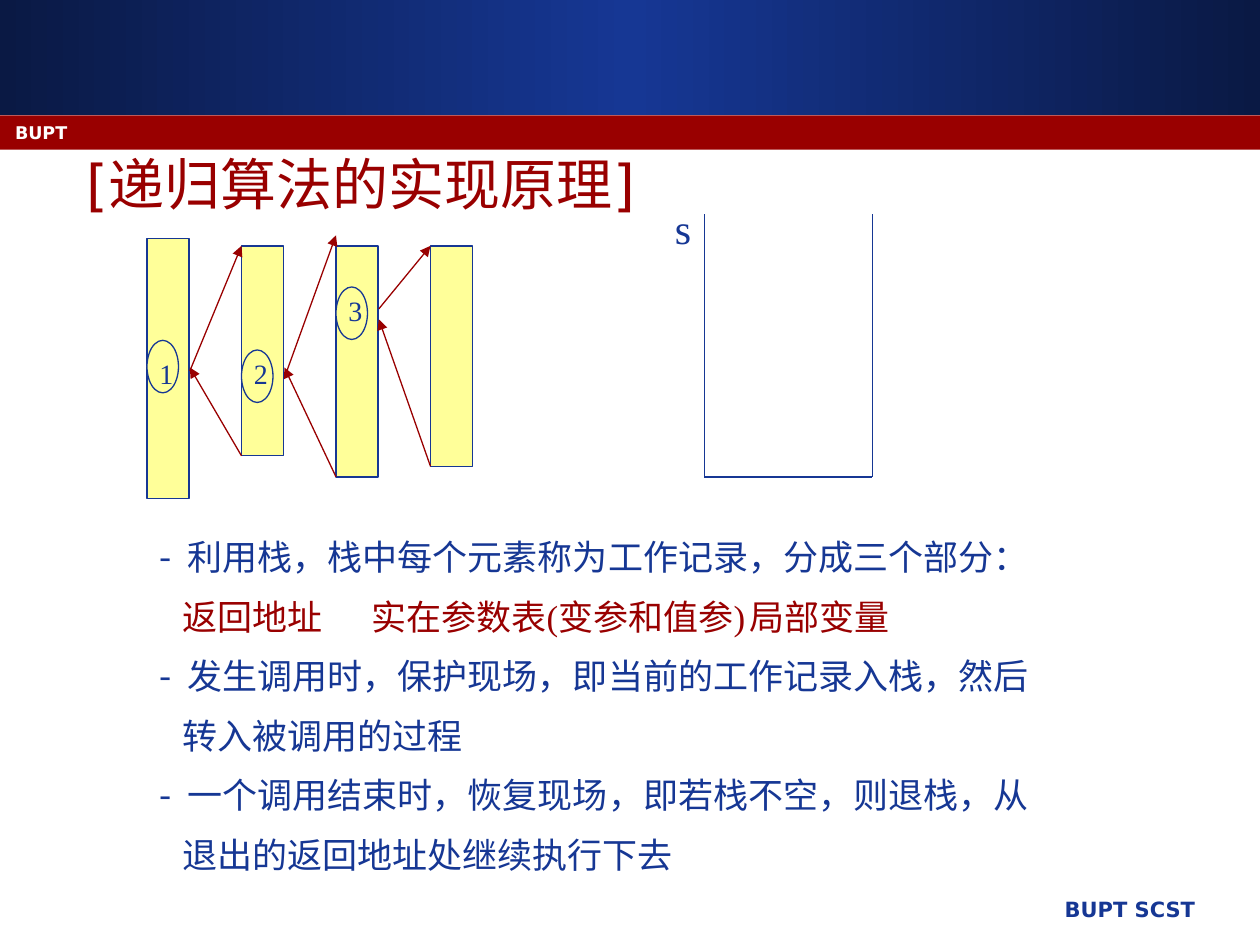
from dataclasses import dataclass
from typing import Optional

from lxml import etree
from pptx import Presentation
from pptx import util as u
from pptx.dml.color import RGBColor
from pptx.enum import shapes, text
from pptx.oxml.ns import qn


@dataclass(frozen=True)
class Theme:
    blue: str = "163794"
    navy: str = "0A1944"
    red: str = "990000"
    yellow: str = "FFFF99"
    white: str = "FFFFFF"
    sans: str = "DejaVu Sans"
    serif: str = "Times New Roman"
    tag: float = 10
    footer: float = 12
    label: float = 16
    body: float = 20
    stack: float = 24
    title: float = 32
    line: float = 0.75


@dataclass(frozen=True)
class Frame:
    top: float
    height: float


@dataclass(frozen=True)
class Call:
    number: str
    start: float
    tip: float
    back: float
    ring_top: float
    label_top: float


@dataclass(frozen=True)
class Line:
    words: str
    color: str
    dash: bool = False
    tabs: tuple[float, ...] = ()


T = Theme()
FRAME_LEFT, FRAME_STEP, FRAME_WIDTH = 84, 54, 24
FRAMES = [Frame(136.5, 148.5), Frame(140.5, 120), Frame(140.5, 132), Frame(140.5, 126)]
CALLS = [
    Call("1", 212, 140.5, 210, 194.5, 200),
    Call("2", 216, 134.5, 210, 200, 200),
    Call("3", 176.5, 140.5, 182.5, 164, 164),
]
LINES = [
    Line("利用栈，栈中每个元素称为工作记录，分成三个部分：", T.blue, dash=True),
    Line("返回地址\t实在参数表(变参和值参)\t局部变量", T.red, tabs=(102, 350)),
    Line("发生调用时，保护现场，即当前的工作记录入栈，然后", T.blue, dash=True),
    Line("转入被调用的过程", T.blue),
    Line("一个调用结束时，恢复现场，即若栈不空，则退栈，从", T.blue, dash=True),
    Line("退出的返回地址处继续执行下去", T.blue),
]


def rgb(value: str) -> RGBColor:
    return RGBColor.from_string(value)


def add_block(s, kind, left: float, top: float, width: float, height: float,
              fill: str, line: Optional[str] = None):
    sp = s.shapes.add_shape(kind, u.Pt(left), u.Pt(top), u.Pt(width), u.Pt(height))
    sp.shadow.inherit = False
    sp.fill.solid()
    sp.fill.fore_color.rgb = rgb(fill)
    if line:
        sp.line.color.rgb = rgb(line)
        sp.line.width = u.Pt(T.line)
    else:
        sp.line.fill.background()
    return sp


def add_line(s, x1: float, y1: float, x2: float, y2: float, color: str,
             arrow: bool = False) -> None:
    cx = s.shapes.add_connector(shapes.MSO_CONNECTOR.STRAIGHT,
                                u.Pt(x1), u.Pt(y1), u.Pt(x2), u.Pt(y2))
    cx.line.color.rgb = rgb(color)
    cx.line.width = u.Pt(T.line)
    if arrow:
        etree.SubElement(cx.line._get_or_add_ln(), qn("a:tailEnd"), type="triangle")
    etree.SubElement(cx._element.spPr, qn("a:effectLst"))


def style(p, font: str, size: float, color: str, bold: bool = False) -> None:
    for r in p.runs:
        r.font.name = font
        r.font.size = u.Pt(size)
        r.font.bold = bold
        r.font.color.rgb = rgb(color)


def add_box(s, left: float, top: float, width: float, height: float):
    tf = s.shapes.add_textbox(u.Pt(left), u.Pt(top), u.Pt(width), u.Pt(height)).text_frame
    tf.word_wrap = True
    return tf


def add_text(s, words: str, left: float, top: float, width: float, height: float,
             font: str, size: float, color: str, bold: bool = False,
             align=text.PP_ALIGN.LEFT, anchor=text.MSO_ANCHOR.TOP) -> None:
    tf = add_box(s, left, top, width, height)
    tf.vertical_anchor = anchor
    tf.text = words
    tf.paragraphs[0].alignment = align
    style(tf.paragraphs[0], font, size, color, bold)


def add_header(s) -> None:
    rect = shapes.MSO_SHAPE.RECTANGLE
    band = add_block(s, rect, 0, 0, 720, 65.5, T.navy)
    band.fill.gradient()
    band.fill.gradient_angle = 0
    gs_list = band._element.spPr.find(qn("a:gradFill")).find(qn("a:gsLst"))
    for gs in list(gs_list):
        gs_list.remove(gs)
    for pos, color in ((0, T.navy), (50, T.blue), (100, T.navy)):
        gs = etree.SubElement(gs_list, qn("a:gs"), pos=str(pos * 1000))
        etree.SubElement(gs, qn("a:srgbClr"), val=color)
    add_block(s, rect, 0, 66, 720, 19.5, T.red)
    add_text(s, "BUPT SCST", 303, 509, 387, 25, T.sans, T.footer, T.blue, True,
             align=text.PP_ALIGN.RIGHT)
    add_text(s, "BUPT", 1.5, 66, 666, 18, T.sans, T.tag, T.white, True)
    add_text(s, "[递归算法的实现原理]", 42.5, 86.5, 612, 36, T.sans, T.title, T.red,
             anchor=text.MSO_ANCHOR.MIDDLE)


def add_calls(s) -> None:
    lefts = [FRAME_LEFT + i * FRAME_STEP for i in range(len(FRAMES))]
    for left, frame in zip(lefts, FRAMES):
        add_block(s, shapes.MSO_SHAPE.RECTANGLE, left, frame.top, FRAME_WIDTH,
                  frame.height, T.yellow, T.blue)
    for left, callee_left, callee, call in zip(lefts, lefts[1:], FRAMES[1:], CALLS):
        edge = left + FRAME_WIDTH + 0.5
        add_line(s, edge, call.start, callee_left, call.tip, T.red, arrow=True)
        add_line(s, callee_left, callee.top + callee.height, edge, call.back, T.red, arrow=True)
        add_block(s, shapes.MSO_SHAPE.OVAL, left, call.ring_top, 18, 30, T.yellow, T.blue)
        add_text(s, call.number, left, call.label_top, 36, 27, T.serif, T.label, T.blue)


def add_stack(s) -> None:
    left, right, top, bottom = 402.5, 498.5, 122.5, 272.5
    add_line(s, left, top, left, bottom, T.blue)
    add_line(s, left, bottom, right, bottom, T.blue)
    add_line(s, right, top, right, bottom, T.blue)
    add_text(s, "s", 378.5, 112, 24, 36, T.serif, T.stack, T.blue)


def add_notes_on_stack(s) -> None:
    tf = add_box(s, 84, 302.5, 516, 211)
    for i, line in enumerate(LINES):
        p = tf.add_paragraph() if i else tf.paragraphs[0]
        p.text = line.words
        indent = 16 if line.dash else 13
        pPr = p._p.get_or_add_pPr()
        pPr.set("marL", str(u.Pt(indent)))
        pPr.set("indent", str(u.Pt(-indent if line.dash else 0)))
        if line.dash:
            etree.SubElement(pPr, qn("a:buFont"), typeface=T.serif)
            etree.SubElement(pPr, qn("a:buChar"), char="-")
        if line.tabs:
            tabs = etree.SubElement(pPr, qn("a:tabLst"))
            for pos in line.tabs:
                etree.SubElement(tabs, qn("a:tab"), pos=str(u.Pt(pos)), algn="l")
        if i:
            p.space_before = u.Pt(10)
        style(p, T.serif, T.body, line.color)


def main() -> None:
    prs = Presentation()
    prs.slide_width, prs.slide_height = u.Pt(720), u.Pt(540)
    s = prs.slides.add_slide(prs.slide_layouts[6])
    add_header(s)
    add_calls(s)
    add_stack(s)
    add_notes_on_stack(s)
    prs.save("out.pptx")


if __name__ == "__main__":
    main()
